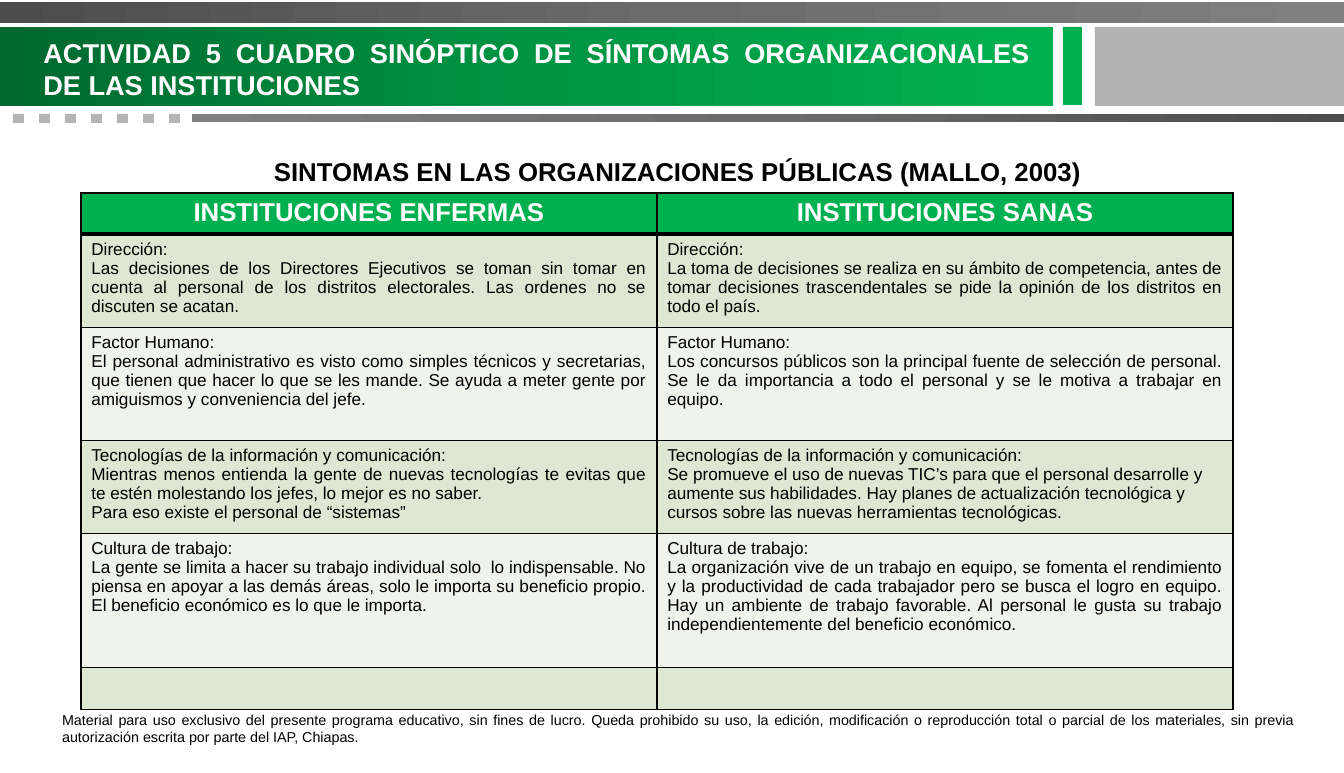
from copy import deepcopy

from pptx import Presentation
from pptx.dml.color import RGBColor
from pptx.enum.shapes import MSO_SHAPE
from pptx.enum.text import MSO_ANCHOR, MSO_AUTO_SIZE, PP_ALIGN
from pptx.oxml import parse_xml
from pptx.oxml.ns import nsdecls, qn
from pptx.util import Pt

RECT = MSO_SHAPE.RECTANGLE
TOP = MSO_ANCHOR.TOP
FIXED = MSO_AUTO_SIZE.NONE
LEFT, CENTER, JUSTIFY = PP_ALIGN.LEFT, PP_ALIGN.CENTER, PP_ALIGN.JUSTIFY

BLACK = RGBColor(0x00, 0x00, 0x00)
WHITE = RGBColor(0xFF, 0xFF, 0xFF)
GREEN = RGBColor(0x00, 0xB0, 0x50)
SILVER = RGBColor(0xB2, 0xB2, 0xB2)
DOT = RGBColor(0xB5, 0xB5, 0xB5)
BANDS = [RGBColor(0xDE, 0xE7, 0xD1), RGBColor(0xEF, 0xF3, 0xEA)]
GREENS = [RGBColor(0x00, 0x68, 0x2F), RGBColor(0x00, 0x94, 0x43), GREEN]
GRAYS = [RGBColor(0x4C, 0x4C, 0x4C), RGBColor(0x6B, 0x6B, 0x6B),
         RGBColor(0x80, 0x80, 0x80)]

FONT = "Arial"
SCALE = 914400 / 103.1

TITLE = "ACTIVIDAD 5 CUADRO SINÓPTICO DE SÍNTOMAS ORGANIZACIONALES DE LAS INSTITUCIONES"
HEADING = "SINTOMAS EN LAS ORGANIZACIONES PÚBLICAS (MALLO, 2003)"
NOTICE = ("Material para uso exclusivo del presente programa educativo, sin fines de lucro. "
          "Queda prohibido su uso, la edición, modificación o reproducción total o parcial "
          "de los materiales, sin previa autorización escrita por parte del IAP, Chiapas.")
HEADS = ["INSTITUCIONES ENFERMAS", "INSTITUCIONES SANAS"]
TOPICS = [
    ("Dirección:",
     ["Las decisiones de los Directores Ejecutivos se toman sin tomar en cuenta al "
      "personal de los distritos electorales. Las ordenes no se discuten se acatan."],
     ["La toma de decisiones se realiza en su ámbito de competencia, antes de tomar "
      "decisiones trascendentales se pide la opinión de los distritos en todo el país."]),
    ("Factor Humano:",
     ["El personal administrativo es visto como simples técnicos y secretarias, que "
      "tienen que hacer lo que se les mande. Se ayuda a meter gente por amiguismos y "
      "conveniencia del jefe."],
     ["Los concursos públicos son la principal fuente de selección de personal. Se le da "
      "importancia a todo el personal y se le motiva a trabajar en equipo."]),
    ("Tecnologías de la información y comunicación:",
     ["Mientras menos entienda la gente de nuevas tecnologías te evitas que te estén "
      "molestando los jefes, lo mejor es no saber.",
      "Para eso existe el personal de “sistemas”"],
     ["Se promueve el uso de nuevas TIC’s para que el personal desarrolle y aumente sus "
      "habilidades. Hay planes de actualización tecnológica y cursos sobre las nuevas "
      "herramientas tecnológicas."]),
    ("Cultura de trabajo:",
     ["La gente se limita a hacer su trabajo individual solo  lo indispensable. No piensa "
      "en apoyar a las demás áreas, solo le importa su beneficio propio. El beneficio "
      "económico es lo que le importa."],
     ["La organización vive de un trabajo en equipo, se fomenta el rendimiento y la "
      "productividad de cada trabajador pero se busca el logro en equipo. Hay un ambiente "
      "de trabajo favorable. Al personal le gusta su trabajo independientemente del "
      "beneficio económico."]),
]
ROWS = [41, 93, 113, 93, 134, 42]


def px(n):
    return round(n * SCALE)


def write(frame, lines, size, color, align, bold=False):
    frame.word_wrap = True
    for i, line in enumerate(lines):
        para = frame.paragraphs[0] if i == 0 else frame.add_paragraph()
        para.alignment = align
        run = para.add_run()
        run.text = line
        font = run.font
        font.name, font.size, font.bold = FONT, Pt(size), bold
        font.color.rgb = color


def block(slide, x, y, w, h, color):
    shape = slide.shapes.add_shape(RECT, px(x), px(y), px(w), px(h))
    shape.shadow.inherit = False
    shape.line.fill.background()
    shape.fill.solid()
    shape.fill.fore_color.rgb = color
    return shape


def blend(slide, x, y, w, h, colors, angle):
    shape = block(slide, x, y, w, h, colors[0])
    shape.fill.gradient()
    shape.fill.gradient_angle = angle
    stops = shape.element.spPr.find(qn("a:gradFill")).find(qn("a:gsLst"))
    stops.insert(1, deepcopy(stops[0]))
    for i, stop in enumerate(shape.fill.gradient_stops):
        stop.position = i / 2
        stop.color.rgb = colors[i]


def label(slide, x, y, w, h, text, size, align, bold=False):
    box = slide.shapes.add_textbox(px(x), px(y), px(w), px(h))
    write(box.text_frame, [text], size, BLACK, align, bold)


def headline(slide):
    title = slide.shapes.title
    slide.shapes.element.append(title.element)
    title.left, title.top, title.width, title.height = px(33), px(31), px(1007), px(76)
    frame = title.text_frame
    frame.auto_size = FIXED
    frame.vertical_anchor = TOP
    write(frame, [TITLE], 19, WHITE, JUSTIFY, True)


def edge(cell, side, points):
    cell.fill.background()
    props = cell._tc.get_or_add_tcPr()
    line = parse_xml(
        f'<a:{side} {nsdecls("a")} w="{Pt(points)}"><a:solidFill>'
        f'<a:srgbClr val="{BLACK}"/></a:solidFill></a:{side}>')
    props.insert(len(props) - 1, line)


def paint(cell, color, top, base):
    for side, points in (("lnL", 1), ("lnR", 1), ("lnT", top), ("lnB", base)):
        edge(cell, side, points)
    cell.fill.solid()
    cell.fill.fore_color.rgb = color


def chart(slide):
    frame = slide.shapes.add_table(len(ROWS), 2, px(81), px(193), px(1152), px(sum(ROWS)))
    table = frame.table
    for col in table.columns:
        col.width = px(576)
    for i, high in enumerate(ROWS):
        table.rows[i].height = px(high)
        for j in range(2):
            cell = table.cell(i, j)
            if i == 0:
                paint(cell, GREEN, 1, 3)
                write(cell.text_frame, [HEADS[j]], 18, WHITE, CENTER, True)
                continue
            paint(cell, BANDS[(i - 1) % 2], 3 if i == 1 else 1, 1)
            if i <= len(TOPICS):
                name, *sides = TOPICS[i - 1]
                align = LEFT if (i, j) == (3, 1) else JUSTIFY
                write(cell.text_frame, [name] + sides[j], 12, BLACK, align)


def main():
    deck = Presentation()
    deck.slide_width, deck.slide_height = px(1344), px(773)
    slide = deck.slides.add_slide(deck.slide_layouts[5])
    blend(slide, 0, 27, 1053, 79, GREENS, 0)
    block(slide, 1063, 27, 19, 78, GREEN)
    block(slide, 1095, 27, 249, 79, SILVER)
    for i in range(7):
        block(slide, 13 + 26 * i, 114, 11, 9, DOT)
    blend(slide, 192, 114, 1152, 8, GRAYS, 180)
    blend(slide, 0, 2, 1344, 21, GRAYS, 0)
    label(slide, 52, 706, 1251, 45, NOTICE, 10, JUSTIFY)
    chart(slide)
    label(slide, 121, 151, 1113, 41, HEADING, 18, CENTER, True)
    headline(slide)
    deck.save("out.pptx")


if __name__ == "__main__":
    main()
